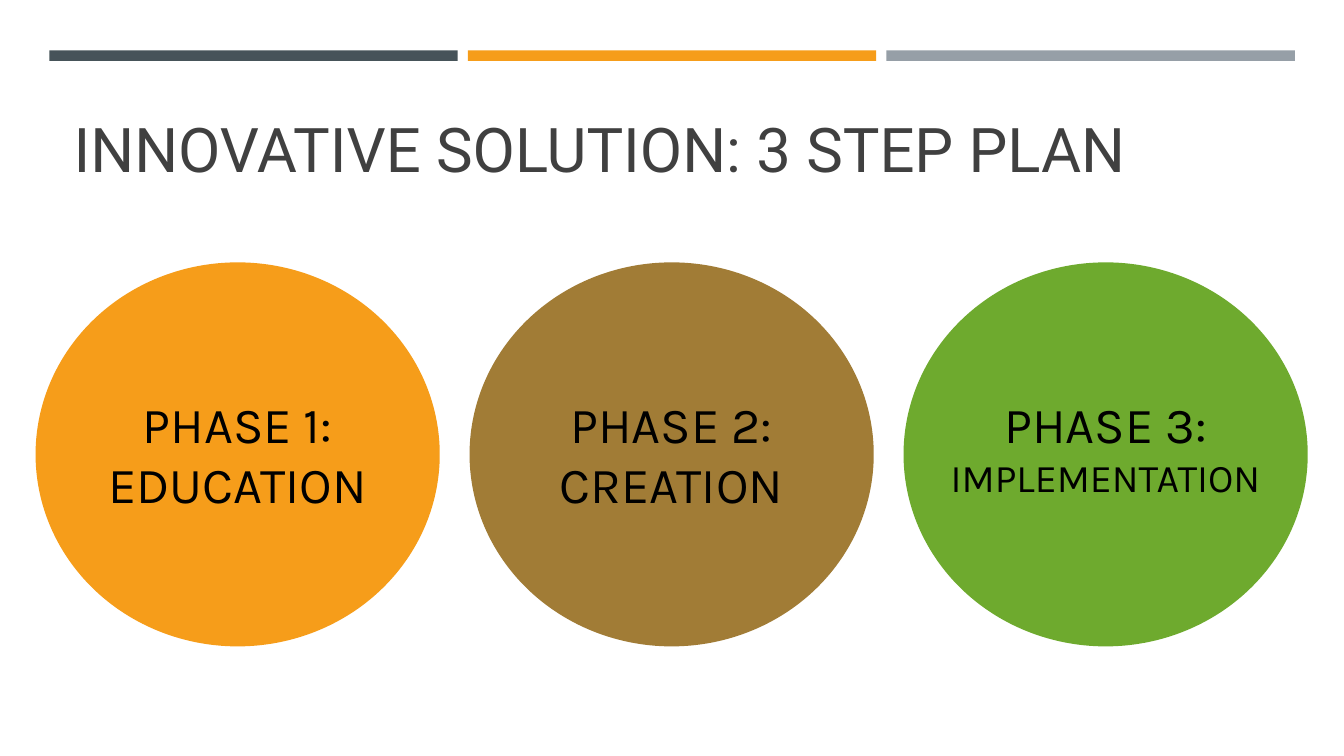
from pptx import Presentation
from pptx.dml.color import RGBColor
from pptx.enum.shapes import MSO_SHAPE
from pptx.enum.text import MSO_ANCHOR, MSO_AUTO_SIZE, PP_ALIGN
from pptx.util import Pt

RECT, OVAL = MSO_SHAPE.RECTANGLE, MSO_SHAPE.OVAL
BOTTOM = MSO_ANCHOR.BOTTOM
NO_FIT, GROW = MSO_AUTO_SIZE.NONE, MSO_AUTO_SIZE.SHAPE_TO_FIT_TEXT
LEFT, CENTER = PP_ALIGN.LEFT, PP_ALIGN.CENTER


def rgb(value):
    """Turn a hex string into a colour."""
    return RGBColor.from_string(value)


def add_run(p, text, font, size, color):
    """Add formatted text to a paragraph."""
    r = p.add_run()
    r.text = text
    r.font.name = font
    r.font.size = Pt(size)
    r.font.color.rgb = rgb(color)


class Deck:
    """Hold the style and the current slide."""

    title_font, body_font = "Roboto", "Karla"
    title_color, body_color = "404040", "000000"

    def __init__(self, prs):
        """Add a title-only slide."""
        self.s = prs.slides.add_slide(prs.slide_layouts[5])

    def title(self, text, x, y, w, h, size):
        """Place and format the slide title."""
        sp = self.s.shapes.title
        sp.left, sp.top, sp.width, sp.height = Pt(x), Pt(y), Pt(w), Pt(h)
        tf = sp.text_frame
        tf.auto_size = NO_FIT
        tf.word_wrap = True
        tf.vertical_anchor = BOTTOM
        p = tf.paragraphs[0]
        p.alignment = LEFT
        add_run(p, text, self.title_font, size, self.title_color)

    def shape(self, kind, x, y, w, h, fill):
        """Draw a plain filled shape."""
        sp = self.s.shapes.add_shape(kind, Pt(x), Pt(y), Pt(w), Pt(h))
        sp.shadow.inherit = False
        sp.fill.solid()
        sp.fill.fore_color.rgb = rgb(fill)
        sp.line.fill.background()

    def label(self, runs, x, y, w, h):
        """Add a centred text box from pairs of text and size."""
        sp = self.s.shapes.add_textbox(Pt(x), Pt(y), Pt(w), Pt(h))
        tf = sp.text_frame
        tf.word_wrap = True
        tf.auto_size = GROW
        p = tf.paragraphs[0]
        p.alignment = CENTER
        for text, size in runs:
            add_run(p, text, self.body_font, size, self.body_color)


def main():
    """Build and save the slide."""
    prs = Presentation()
    prs.slide_width, prs.slide_height = Pt(960), Pt(540)
    deck = Deck(prs)

    for i, color in enumerate(["465359", "F69D1A", "969FA7"]):
        deck.shape(RECT, 35.2 + 299 * i, 36, 291.7, 7.5, color)

    deck.title("INNOVATIVE SOLUTION: 3 STEP PLAN", 45.4, 57.6, 868.3, 77.8, 44)

    phases = [
        ("F69D1A", [("PHASE 1: EDUCATION", 36)], 94.3),
        ("A17C36", [("PHASE 2: CREATION", 36)], 94.3),
        ("6EAA2E", [("PHASE 3: ", 36), ("IMPLEMENTATION", 28)], 85),
    ]
    for i, (color, runs, height) in enumerate(phases):
        x = 25.4 + 310 * i
        deck.shape(OVAL, x, 187.4, 288.7, 274.3, color)
        deck.label(runs, x + 20.4, 277.2, 247.7, height)

    prs.save("out.pptx")


if __name__ == "__main__":
    main()
